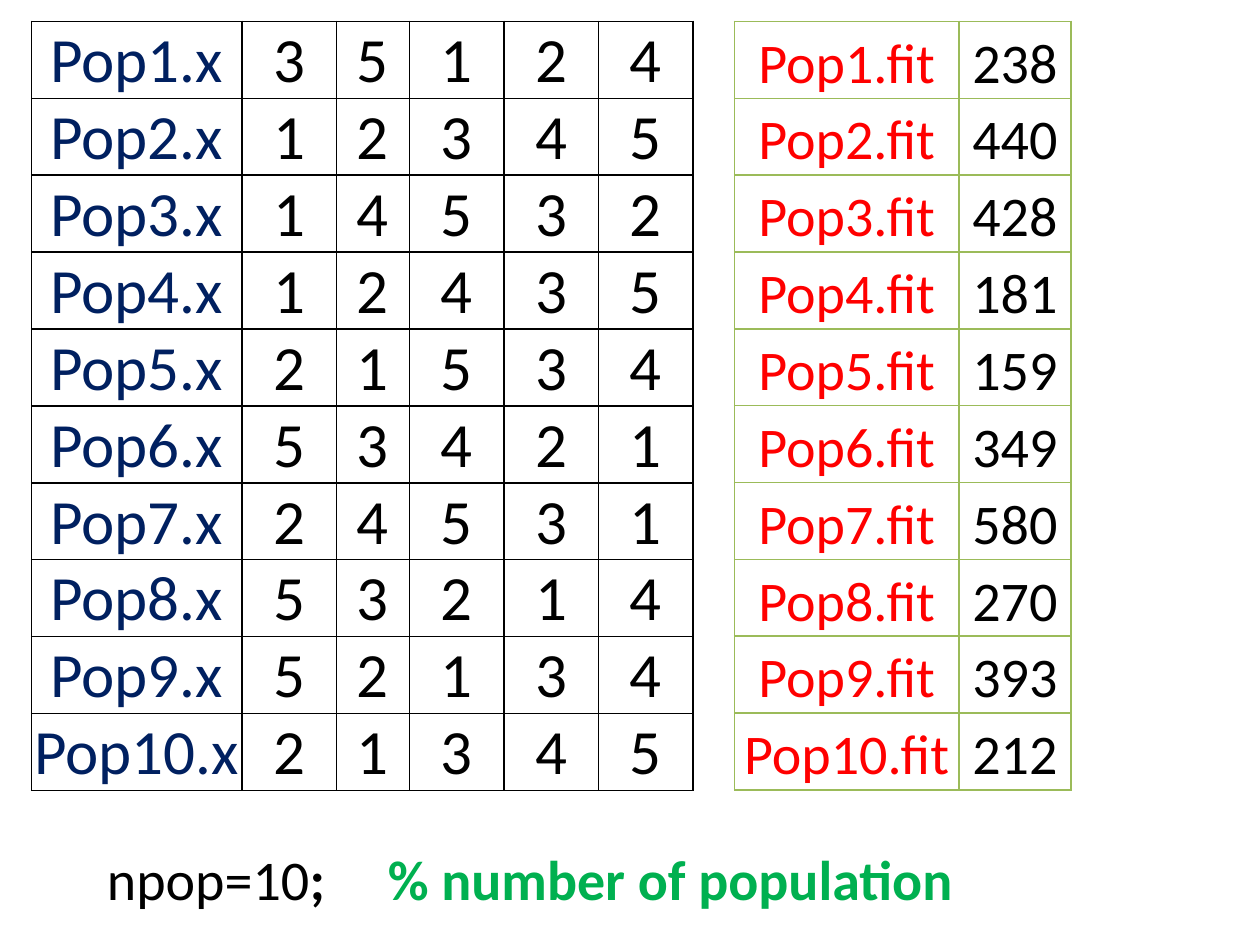
"""Build a slide listing a population of ten permutations and their fitness values."""
from lxml import etree
from pptx import Presentation
from pptx.dml.color import RGBColor
from pptx.enum.text import MSO_ANCHOR, MSO_AUTO_SIZE, PP_ALIGN
from pptx.oxml.ns import qn
from pptx.util import Inches, Pt

CENTER = PP_ALIGN.CENTER
BOTTOM = MSO_ANCHOR.BOTTOM
FIT_SHAPE = MSO_AUTO_SIZE.SHAPE_TO_FIT_TEXT

BLACK = RGBColor(0x00, 0x00, 0x00)
NAVY = RGBColor(0x00, 0x20, 0x60)
RED = RGBColor(0xFF, 0x00, 0x00)
GREEN = RGBColor(0x00, 0xB0, 0x50)
OLIVE = RGBColor(0x9B, 0xBB, 0x59)

PERMUTATIONS = ["35124", "12345", "14532", "12435", "21534",
                "53421", "24531", "53214", "52134", "21345"]
FITNESS = [238, 440, 428, 181, 159, 349, 580, 270, 393, 212]


class SlideBuilder:
    font = "Calibri"
    row_height = 0.61
    border_width = Pt(1)

    def __init__(self, slide):
        self.slide = slide

    def add_run(self, paragraph, text, size, color, bold=False):
        run = paragraph.add_run()
        run.text = text
        run.font.name = self.font
        run.font.size = Pt(size)
        run.font.bold = bold
        run.font.color.rgb = color

    def add_borders(self, cell, color):
        properties = cell._tc.get_or_add_tcPr()
        for side in ("a:lnL", "a:lnR", "a:lnT", "a:lnB"):
            line = etree.SubElement(properties, qn(side), w=str(self.border_width))
            fill = etree.SubElement(line, qn("a:solidFill"))
            etree.SubElement(fill, qn("a:srgbClr"), val=str(color))

    def format_cell(self, cell, text, size, color, border_color):
        self.add_borders(cell, border_color)
        cell.fill.background()
        cell.vertical_anchor = BOTTOM
        cell.margin_left = cell.margin_right = cell.margin_top = Inches(0.01)
        cell.margin_bottom = 0
        paragraph = cell.text_frame.paragraphs[0]
        paragraph.alignment = CENTER
        self.add_run(paragraph, text, size, color)

    def add_table(self, left, top, widths, rows, size, label_color, border_color):
        shape = self.slide.shapes.add_table(
            len(rows), len(widths), Inches(left), Inches(top),
            Inches(sum(widths)), Inches(self.row_height * len(rows)))
        table = shape.table
        table.first_row = table.horz_banding = False
        for column, width in zip(table.columns, widths):
            column.width = Inches(width)
        for row, values in zip(table.rows, rows):
            row.height = Inches(self.row_height)
            for index, (cell, value) in enumerate(zip(row.cells, values)):
                color = BLACK if index else label_color
                self.format_cell(cell, str(value), size, color, border_color)

    def add_text(self, left, top, width, height, runs, size, tab_position):
        shape = self.slide.shapes.add_textbox(
            Inches(left), Inches(top), Inches(width), Inches(height))
        frame = shape.text_frame
        frame.word_wrap = True
        frame.auto_size = FIT_SHAPE
        paragraph = frame.paragraphs[0]
        tabs = etree.SubElement(paragraph._p.get_or_add_pPr(), qn("a:tabLst"))
        etree.SubElement(tabs, qn("a:tab"), pos=str(Inches(tab_position)), algn="l")
        for text, color, bold in runs:
            self.add_run(paragraph, text, size, color, bold)


def main():
    presentation = Presentation()
    presentation.slide_width = Inches(10)
    presentation.slide_height = Inches(7.5)
    slide = presentation.slides.add_slide(presentation.slide_layouts[6])
    builder = SlideBuilder(slide)

    builder.add_text(0.75, 6.65, 8.92, 0.64, [
        ("npop=10", BLACK, False),
        (";", BLACK, True),
        ("\t% number of population", GREEN, True),
    ], size=32, tab_position=2.23)

    permutation_rows = [[f"Pop{number}.x", *genes]
                        for number, genes in enumerate(PERMUTATIONS, 1)]
    builder.add_table(0.25, 0.17, [1.67, 0.75, 0.58, 0.75, 0.75, 0.75],
                      permutation_rows, 36, NAVY, BLACK)

    fitness_rows = [[f"Pop{number}.fit", value]
                    for number, value in enumerate(FITNESS, 1)]
    builder.add_table(5.83, 0.17, [1.78, 0.89], fitness_rows, 32, RED, OLIVE)

    presentation.save("out.pptx")


if __name__ == "__main__":
    main()
